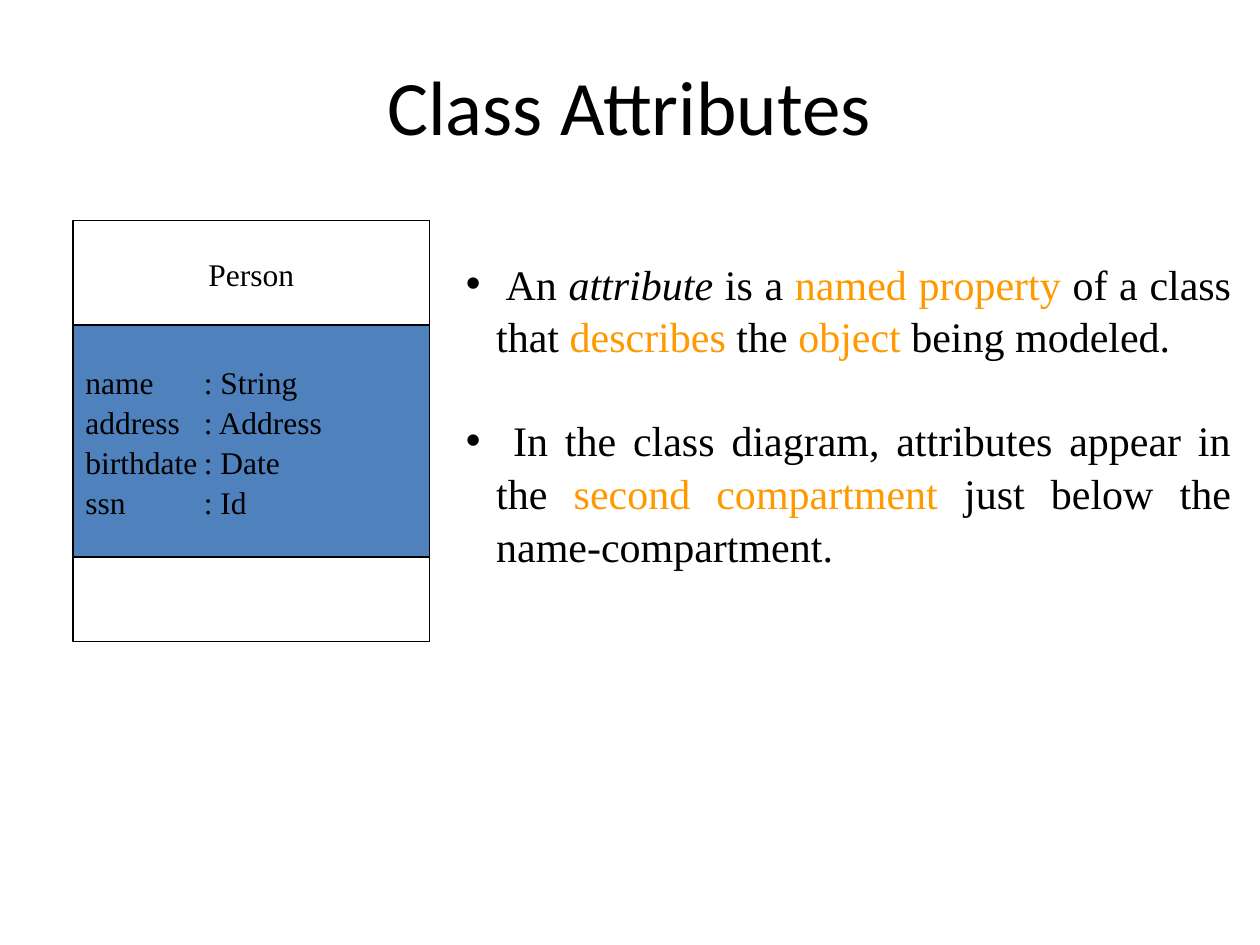
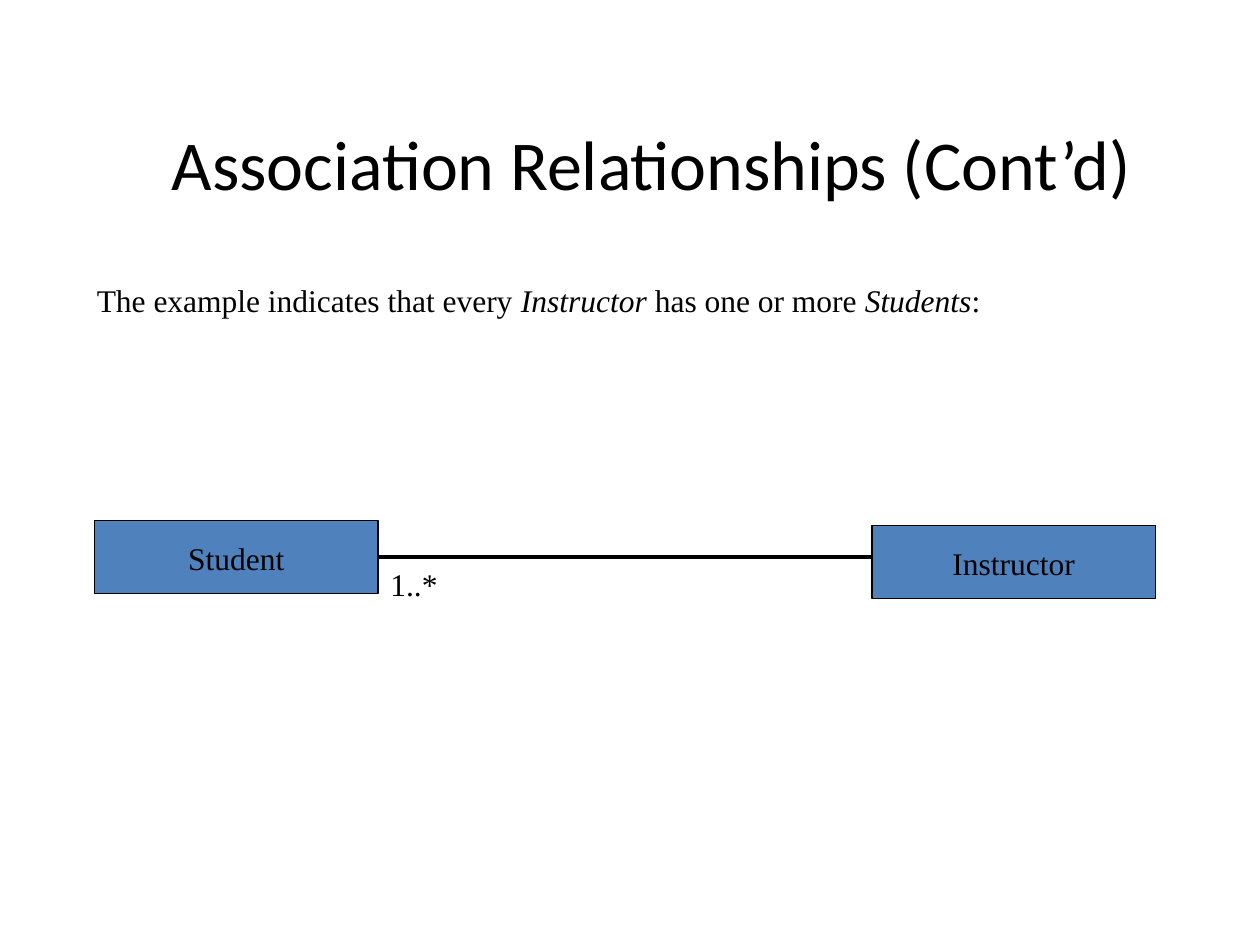
import dataclasses

import pptx
import pptx.dml.color
import pptx.enum.shapes
import pptx.enum.text
import pptx.util
from lxml import etree

Inches = pptx.util.Inches
Pt = pptx.util.Pt
Align = pptx.enum.text.PP_ALIGN
Anchor = pptx.enum.text.MSO_ANCHOR


@dataclasses.dataclass(frozen=True)
class Theme:
    ink: str = "000000"
    paper: str = "FFFFFF"
    accent: str = "FF9900"
    fill: str = "4F81BD"
    title_font: str = "Calibri"
    body_font: str = "Times New Roman"
    label_size: int = 18
    bullet_size: int = 24
    outline: float = 0.75
    association: float = 2.25
    line_spacing: float = 1.05


THEME = Theme()

TITLES = [
    ("Class Attributes", 44, (0.73, 0.33, 8.53, 1)),
    ("Association Relationships (Cont’d)", 40, (0.67, 1, 9, 0.58)),
]
ATTRIBUTES = [
    "name\t: String",
    "address\t: Address",
    "birthdate\t: Date",
    "ssn\t: Id",
]
COMPARTMENTS = [
    (["Person"], 0.83, THEME.paper, Align.CENTER),
    (ATTRIBUTES, 1.84, THEME.fill, Align.LEFT),
    ([], 0.67, THEME.paper, Align.LEFT),
]
BULLETS = [
    [(" An ", ""), ("attribute", "italic"), (" is a ", ""),
     ("named property ", "accent"), ("of a class that ", ""),
     ("describes", "accent"), (" the ", ""), ("object", "accent"),
     (" being modeled.", "")],
    [(" In the class diagram, attributes appear in the ", ""),
     ("second compartment ", "accent"),
     ("just below the name-compartment.", "")],
]
EXAMPLE = [
    ("The example indicates that every ", ""), ("Instructor", "italic"),
    (" has one or more ", ""), ("Students", "italic"), (":", ""),
]
CLASS_BOXES = [("Student", 0.75, 4.13), ("Instructor", 6.92, 4.17)]
MULTIPLICITY = [("1..*", "")]


def rgb(value):
    return pptx.dml.color.RGBColor.from_string(value)


def paragraph_child(para, tag, **attributes):
    name = "{http://schemas.openxmlformats.org/drawingml/2006/main}" + tag
    return etree.SubElement(para._p.get_or_add_pPr(), name, **attributes)


def write(frame, paragraphs, size, align, font=THEME.body_font,
          spacing=THEME.line_spacing):
    frame.word_wrap = True
    for index, spans in enumerate(paragraphs):
        para = frame.paragraphs[0] if index == 0 else frame.add_paragraph()
        para.alignment = align
        para.line_spacing = spacing
        for text, style in spans:
            span = para.add_run()
            span.text = text
            span.font.name = font
            span.font.size = Pt(size)
            span.font.italic = style == "italic"
            color = THEME.accent if style == "accent" else THEME.ink
            span.font.color.rgb = rgb(color)
    return frame.paragraphs


def add_text(page, place, paragraphs, size, align):
    box = page.shapes.add_textbox(*map(Inches, place))
    return write(box.text_frame, paragraphs, size, align)


def add_title(page, text, size, place):
    box = page.shapes.add_textbox(*map(Inches, place))
    box.text_frame.vertical_anchor = Anchor.MIDDLE
    write(box.text_frame, [[(text, "")]], size, Align.CENTER,
          THEME.title_font, 1.0)


def add_class_box(shapes, place, lines, fill, align=Align.CENTER):
    box = shapes.add_shape(pptx.enum.shapes.MSO_SHAPE.RECTANGLE,
                           *map(Inches, place))
    box.shadow.inherit = False
    box.fill.solid()
    box.fill.fore_color.rgb = rgb(fill)
    box.line.color.rgb = rgb(THEME.ink)
    box.line.width = Pt(THEME.outline)
    box.text_frame.vertical_anchor = Anchor.MIDDLE
    return write(box.text_frame, [[(line, "")] for line in lines],
                 THEME.label_size, align)


def add_association(page, start, end):
    line = page.shapes.add_connector(
        pptx.enum.shapes.MSO_CONNECTOR.STRAIGHT, *map(Inches, start + end))
    line.line.color.rgb = rgb(THEME.ink)
    line.line.width = Pt(THEME.association)
    etree.SubElement(
        line._element.spPr,
        "{http://schemas.openxmlformats.org/drawingml/2006/main}effectLst")


def build_attributes(page):
    group = page.shapes.add_group_shape()
    top = 1.75
    for lines, height, fill, align in COMPARTMENTS:
        paragraphs = add_class_box(group.shapes, (0.58, top, 2.83, height),
                                   lines, fill, align)
        if lines is ATTRIBUTES:
            for para in paragraphs:
                stops = paragraph_child(para, "tabLst")
                etree.SubElement(stops, stops.tag.replace("tabLst", "tab"),
                                 pos=str(Inches(0.94)), algn="l")
        top += height

    paragraphs = add_text(page, (3.6, 1.98, 6.27, 2.5), BULLETS,
                          THEME.bullet_size, Align.JUSTIFY)
    for index, para in enumerate(paragraphs):
        para.space_before = Pt(29 if index else 0)
        properties = para._p.get_or_add_pPr()
        properties.set("marL", str(Inches(0.24)))
        properties.set("indent", str(-Inches(0.24)))
        paragraph_child(para, "buFont", typeface="Arial")
        paragraph_child(para, "buChar", char="•")


def build_association(page):
    add_text(page, (0.67, 2.17, 8.87, 0.4), [EXAMPLE],
             THEME.label_size, Align.JUSTIFY)
    add_association(page, (3, 4.42), (7, 4.42))
    for name, left, top in CLASS_BOXES:
        add_class_box(page.shapes, (left, top, 2.25, 0.58), [name], THEME.fill)
    add_text(page, (3, 4.42, 0.75, 0.4), [MULTIPLICITY],
             THEME.label_size, Align.LEFT)


def main():
    deck = pptx.Presentation()
    deck.slide_width = Inches(10)
    deck.slide_height = Inches(7.5)
    for title, build in zip(TITLES, (build_attributes, build_association)):
        page = deck.slides.add_slide(deck.slide_layouts[6])
        add_title(page, *title)
        build(page)
    deck.save("out.pptx")


if __name__ == "__main__":
    main()
